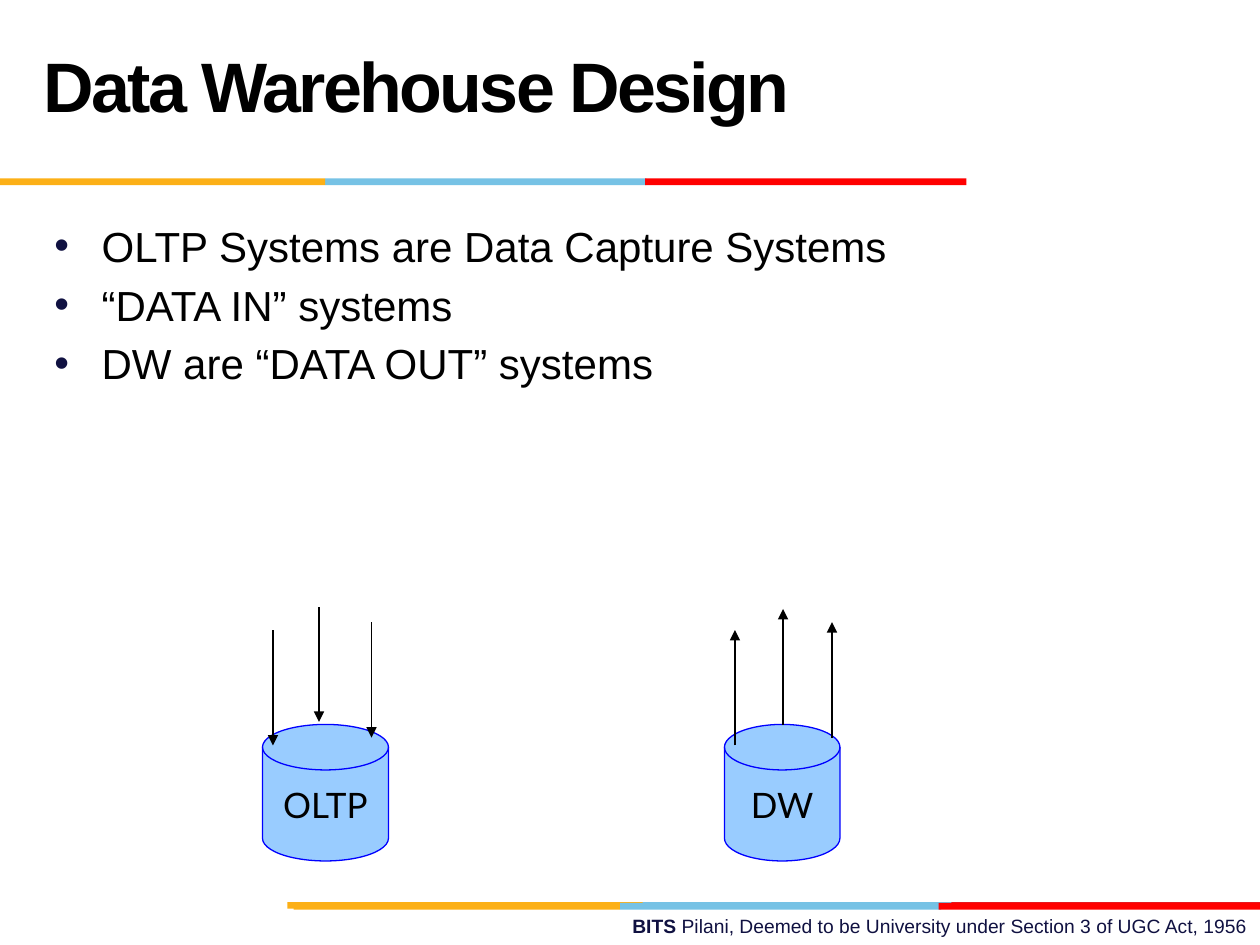
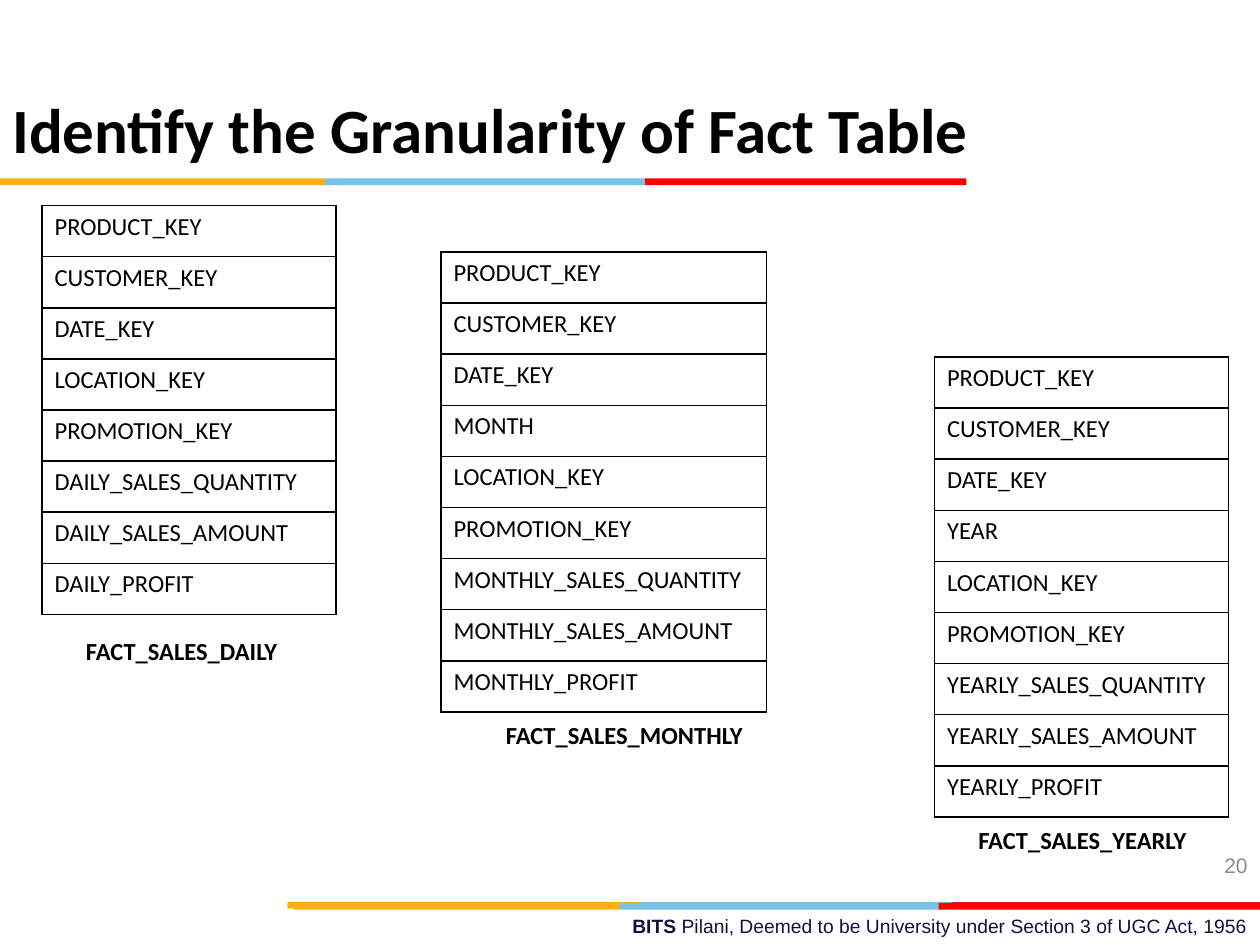
from lxml import etree
from pptx import Presentation
from pptx import util as u
from pptx.dml.color import RGBColor
from pptx.enum import shapes, text
from pptx.oxml import ns

BLACK, NAVY, GREY = "000000", "101141", "8C8C8C"
GOLD, SKY, RED, CRIMSON = "FCB017", "76C2E5", "FF0000", "E31C24"
DISK_FILL, DISK_LINE = "99CCFF", "0000FF"

BAND_HEIGHT = 3.8
BANDS = [
    (515.5, [(364.3, 183.6, SKY), (543.6, 176.4, CRIMSON), (164.2, 203, GOLD)]),
    (516, [(354.2, 183.6, SKY), (167.8, 186.4, GOLD), (536.4, 183.6, RED)]),
    (102, [(185.8, 183.6, SKY), (0, 185.8, GOLD), (368.6, 183.6, RED)]),
]
FOOTER = [
    ("BITS ", True),
    ("Pilani, Deemed to be University under Section 3 of UGC Act, 1956", False),
]

DESIGN_TITLE = "Data Warehouse Design"
DESIGN_POINTS = [
    "OLTP Systems are Data Capture Systems",
    "“DATA IN” systems",
    "DW are “DATA OUT” systems",
]
DISKS = [("OLTP", 150, 72), ("DW", 414, 66)]
DISK_TOP, DISK_HEIGHT = 414, 78
ARROWS = [
    (182.3, 347, 412.5), (156, 360, 426), (212.3, 355.5, 421.5),
    (447.5, 414, 348), (420, 426, 360), (475.4, 421.5, 355.5),
]

FACT_TITLE = "Identify the Granularity of Fact Table"
FACTS = [
    ("DAILY", [], (24, 117.5, 168), (42, 360, 132)),
    ("MONTHLY", ["MONTH"], (252, 144, 186), (282, 408, 156)),
    ("YEARLY", ["YEAR"], (534, 204, 168), (552, 468, 138)),
]
LEADING_KEYS = ["PRODUCT_KEY", "CUSTOMER_KEY", "DATE_KEY"]
TRAILING_KEYS = ["LOCATION_KEY", "PROMOTION_KEY"]
MEASURES = ["SALES_QUANTITY", "SALES_AMOUNT", "PROFIT"]
ROW_HEIGHT = 29.2
PAGE_NUMBER = "20"


def color(value):
    return RGBColor.from_string(value)


def points(*values):
    return [u.Pt(value) for value in values]


def child(parent, tag, **values):
    return etree.SubElement(parent, ns.qn(tag), values)


def style(span, font="Arial", fill=BLACK, **values):
    for name, value in dict(values, name=font).items():
        setattr(span.font, name, value)
    span.font.color.rgb = color(fill)


def write(para, words, size, **values):
    span = para.add_run()
    span.text = words
    style(span, size=u.Pt(size), **values)
    return span


def add_text(page, place, words, size, frame=None, align=None, **values):
    box = page.shapes.add_textbox(*points(*place))
    for name, value in {"word_wrap": True, **(frame or {})}.items():
        setattr(box.text_frame, name, value)
    para = box.text_frame.paragraphs[0]
    para.alignment = align
    return write(para, words, size, **values) if words else box.text_frame


def add_filled(page, kind, place, fill, line=None):
    shape = page.shapes.add_shape(kind, *points(*place))
    shape.shadow.inherit = False
    shape.fill.solid()
    shape.fill.fore_color.rgb = color(fill)
    if line:
        shape.line.color.rgb = color(line)
        shape.line.width = u.Pt(0.75)
    else:
        shape.line.fill.background()
    return shape


def add_page(deck):
    page = deck.slides.add_slide(deck.slide_layouts[6])
    frame = add_text(page, (258, 519, 462, 21), "", 11, align=text.PP_ALIGN.RIGHT)
    for words, bold in FOOTER:
        write(frame.paragraphs[0], words, 11, fill=NAVY, bold=bold)
    for top, bars in BANDS:
        for left, width, fill in bars:
            add_filled(page, shapes.MSO_SHAPE.RECTANGLE,
                       (left, top, width, BAND_HEIGHT), fill)
    return page


def add_bullets(page, place, items, size):
    gap = size * 0.2
    frame = add_text(page, place, "", size, {"margin_top": u.Pt(3.6 + gap)})
    for index, item in enumerate(items):
        para = frame.add_paragraph() if index else frame.paragraphs[0]
        marks = para._p.get_or_add_pPr()
        marks.set("marL", str(u.Pt(27)))
        marks.set("indent", str(-u.Pt(27)))
        child(child(marks, "a:buClr"), "a:srgbClr", val=NAVY)
        child(marks, "a:buFont", typeface="Arial")
        child(marks, "a:buChar", char="•")
        if index:
            para.space_before = u.Pt(gap)
        write(para, item, size)


def add_disk(page, label, left, width):
    disk = add_filled(page, shapes.MSO_SHAPE.FLOWCHART_MAGNETIC_DISK,
                      (left, DISK_TOP, width, DISK_HEIGHT), DISK_FILL, DISK_LINE)
    disk.text_frame.word_wrap = False
    disk.text_frame.vertical_anchor = text.MSO_ANCHOR.MIDDLE
    para = disk.text_frame.paragraphs[0]
    para.alignment = text.PP_ALIGN.CENTER
    write(para, label, 20, font="Lato")


def add_arrow(page, across, start, end):
    arrow = page.shapes.add_connector(
        shapes.MSO_CONNECTOR.STRAIGHT, *points(across, start, across, end))
    arrow.line.color.rgb = color(BLACK)
    arrow.line.width = u.Pt(0.75)
    child(arrow.line._get_or_add_ln(), "a:tailEnd", type="triangle")
    child(arrow._element.spPr, "a:effectLst")


def add_borders(cell):
    marks = cell._tc.get_or_add_tcPr()
    for index, side in enumerate(("a:lnL", "a:lnR", "a:lnT", "a:lnB")):
        edge = etree.Element(ns.qn(side), w=str(u.Pt(1)))
        child(child(edge, "a:solidFill"), "a:srgbClr", val=BLACK)
        marks.insert(index, edge)


def add_fact(page, period, extra_keys, place, label_place):
    fields = LEADING_KEYS + extra_keys + TRAILING_KEYS
    fields += [f"{period}_{measure}" for measure in MEASURES]
    left, top, width = place
    table = page.shapes.add_table(
        len(fields), 1, *points(left, top, width, ROW_HEIGHT * len(fields))).table
    table.first_row = table.horz_banding = False
    for row, field in zip(table.rows, fields):
        row.height = u.Pt(ROW_HEIGHT)
        cell = row.cells[0]
        cell.fill.background()
        add_borders(cell)
        write(cell.text_frame.paragraphs[0], field, 14, font="Calibri")
    add_text(page, (*label_place, 24.2), f"FACT_SALES_{period}", 14,
             font="Calibri", bold=True)


def build_design(deck):
    page = add_page(deck)
    add_bullets(page, (24, 117.5, 648, 356.5), DESIGN_POINTS, 24)
    title = add_text(page, (18, 18, 643, 60), DESIGN_TITLE, 40,
                     {"vertical_anchor": text.MSO_ANCHOR.MIDDLE}, bold=True)
    title._r.get_or_add_rPr().set("spc", "-150")
    for disk in DISKS:
        add_disk(page, *disk)
    for arrow in ARROWS:
        add_arrow(page, *arrow)


def build_facts(deck):
    page = add_page(deck)
    for fact in FACTS:
        add_fact(page, *fact)
    add_text(page, (552, 480, 168, 29), PAGE_NUMBER, 12,
             {"vertical_anchor": text.MSO_ANCHOR.MIDDLE},
             text.PP_ALIGN.RIGHT, fill=GREY)
    add_text(page, (0, 48, 570, 51), FACT_TITLE, 36, font="Calibri", bold=True)


def main():
    deck = Presentation()
    deck.slide_width, deck.slide_height = points(720, 540)
    build_design(deck)
    build_facts(deck)
    deck.save("out.pptx")


if __name__ == "__main__":
    main()
